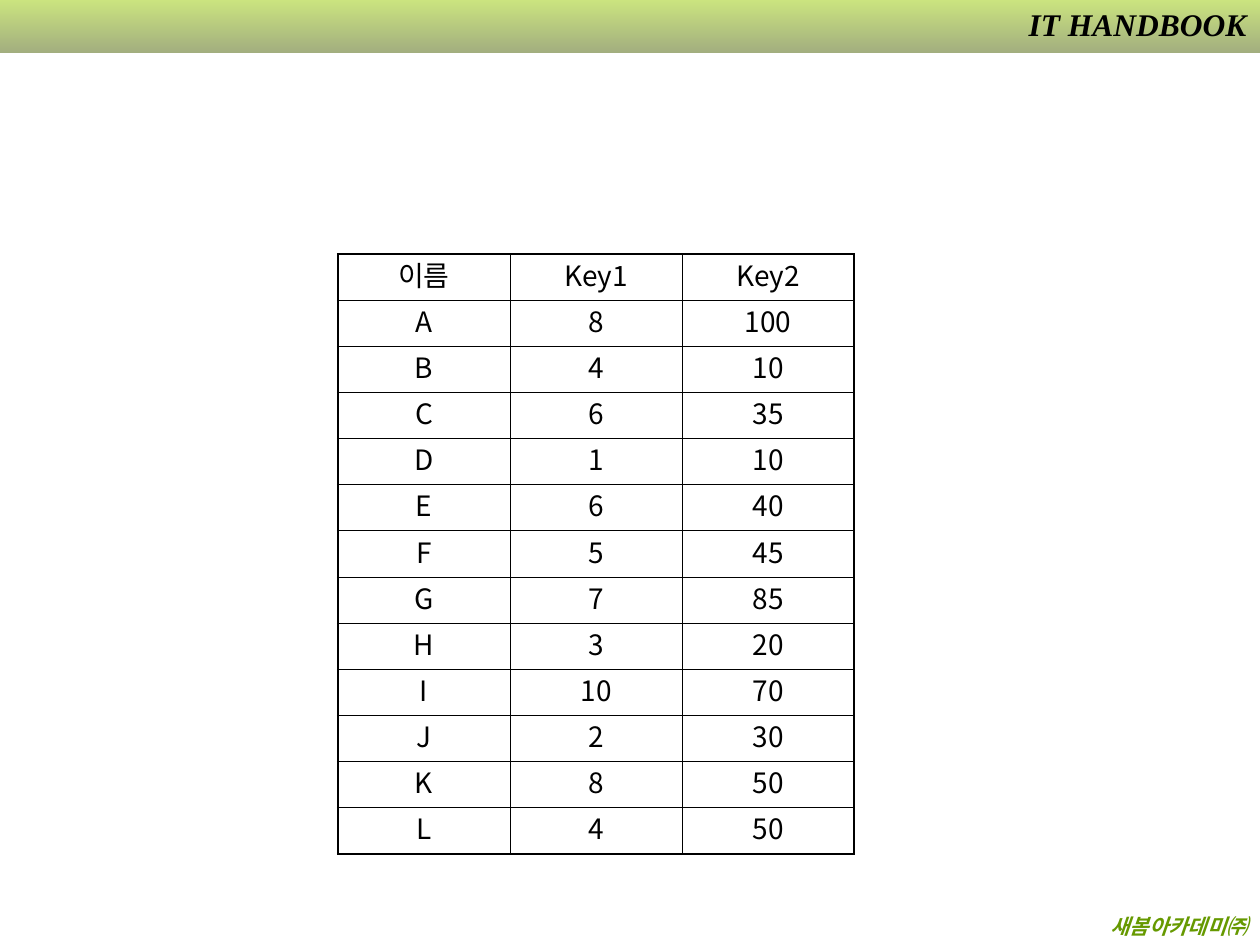
from lxml import etree
from pptx import Presentation
from pptx import util as u
from pptx.dml.color import RGBColor
from pptx.enum import shapes, text
from pptx.oxml.ns import qn

COLORS = {
    "lime": "99CC00",
    "olive": "475E00",
    "green": "669900",
    "black": "000000",
    "white": "FFFFFF",
}
SERIF, SANS = "Times New Roman", "Noto Sans CJK KR"
THIN, THICK = u.Pt(0.45), u.Pt(1.08)

ROWS = [
    ("이름", "Key1", "Key2"),
    ("A", "8", "100"),
    ("B", "4", "10"),
    ("C", "6", "35"),
    ("D", "1", "10"),
    ("E", "6", "40"),
    ("F", "5", "45"),
    ("G", "7", "85"),
    ("H", "3", "20"),
    ("I", "10", "70"),
    ("J", "2", "30"),
    ("K", "8", "50"),
    ("L", "4", "50"),
]


def rgb(name):
    return RGBColor.from_string(COLORS[name])


def sub(parent, tag, **attrs):
    return etree.SubElement(parent, qn(tag), {k: str(v) for k, v in attrs.items()})


def add_run(p, words, size, font, color, bold=False, italic=False):
    r = p.add_run()
    r.text = words
    r.font.size = u.Pt(size)
    r.font.bold, r.font.italic = bold, italic
    r.font.color.rgb = rgb(color)
    r.font.name = font
    sub(r.font._element, "a:ea", typeface=SANS)
    return r


def add_header_bar(s):
    """Band across the top, fading downwards at half transparency."""
    sp = s.shapes.add_shape(shapes.MSO_SHAPE.RECTANGLE, 0, 0, u.Cm(25.4), u.Cm(1.07))
    sp.shadow.inherit = False
    sp.line.fill.background()
    sp.fill.gradient()
    sp.fill.gradient_angle = 270
    for stop, name, position in zip(sp.fill.gradient_stops, ("lime", "olive"), (0, 1)):
        stop.color.rgb = rgb(name)
        stop.position = position
    for clr in sp._element.spPr.iter(qn("a:srgbClr")):
        sub(clr, "a:alpha", val=50000)


def add_label(s, words, left, top, width, height, size, color):
    """Right-aligned bold italic line; returns its run."""
    sp = s.shapes.add_textbox(u.Cm(left), u.Cm(top), u.Cm(width), u.Cm(height))
    tf = sp.text_frame
    tf.word_wrap = True
    tf.auto_size = text.MSO_AUTO_SIZE.SHAPE_TO_FIT_TEXT
    p = tf.paragraphs[0]
    p.alignment = text.PP_ALIGN.RIGHT
    return add_run(p, words, size, SERIF, color, bold=True, italic=True)


def add_text_shadow(r):
    effects = etree.Element(qn("a:effectLst"))
    shadow = sub(effects, "a:outerShdw", dist=25400, dir=2700000, algn="tl")
    sub(shadow, "a:srgbClr", val=COLORS["white"])
    r.font._element.find(qn("a:solidFill")).addnext(effects)


def set_borders(cell, widths):
    tcPr = cell._tc.get_or_add_tcPr()
    for side, width in widths.items():
        ln = sub(tcPr, f"a:ln{side}", w=int(width))
        sub(sub(ln, "a:solidFill"), "a:srgbClr", val=COLORS["black"])


def add_key_table(s):
    """Grid with thin inner lines and a thick outer frame."""
    n_rows, n_cols = len(ROWS), len(ROWS[0])
    col_width, row_height = u.Cm(3.47), u.Cm(0.93)
    table = s.shapes.add_table(n_rows, n_cols, u.Cm(6.81), u.Cm(5.12),
                               col_width * n_cols, row_height * n_rows).table
    table.first_row = table.horz_banding = False
    for col in table.columns:
        col.width = col_width
    for i, (row, values) in enumerate(zip(table.rows, ROWS)):
        row.height = row_height
        for j, value in enumerate(values):
            cell = row.cells[j]
            cell.margin_top = cell.margin_bottom = 0
            set_borders(cell, {
                "L": THICK if j == 0 else THIN,
                "R": THICK if j == n_cols - 1 else THIN,
                "T": THICK if i == 0 else THIN,
                "B": THICK if i == n_rows - 1 else THIN,
            })
            cell.fill.background()
            p = cell.text_frame.paragraphs[0]
            p.alignment = text.PP_ALIGN.CENTER
            p.space_before = u.Pt(4)
            add_run(p, value, 16, SANS, "black")


def main():
    prs = Presentation()
    prs.slide_width, prs.slide_height = u.Cm(25.4), u.Cm(19.05)
    s = prs.slides.add_slide(prs.slide_layouts[6])
    add_header_bar(s)
    add_label(s, "새봄아카데미㈜", 0.15, 18.29, 25.25, 0.76, 12, "green")
    title = add_label(s, "IT HANDBOOK", 20.02, -0.03, 5.36, 1.02, 18, "black")
    add_text_shadow(title)
    add_key_table(s)
    prs.save("out.pptx")


if __name__ == "__main__":
    main()
